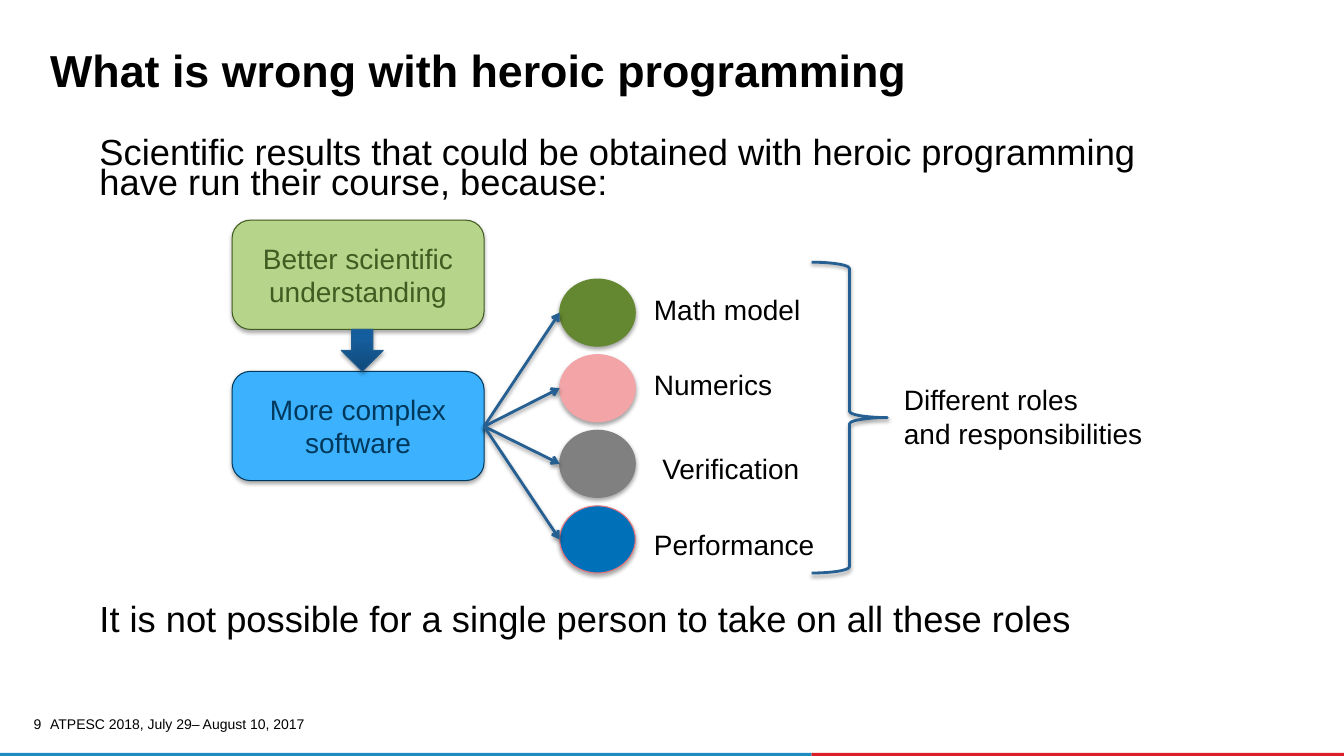
"""Build the slide on what is wrong with heroic programming."""
from lxml import etree
from pptx import Presentation
from pptx.dml.color import RGBColor
from pptx.enum.shapes import MSO_CONNECTOR, MSO_SHAPE
from pptx.enum.text import MSO_ANCHOR, PP_ALIGN
from pptx.oxml import parse_xml
from pptx.oxml.ns import nsdecls, qn
from pptx.util import Pt

BLACK = RGBColor(0x00, 0x00, 0x00)
FOOTER_RED = RGBColor(0xDA, 0x1F, 0x28)
FOOTER_BLUE = RGBColor(0x1B, 0x8D, 0xC3)
LIGHT_GREEN = RGBColor(0xB6, 0xD5, 0x8B)
DARK_GREEN = RGBColor(0x42, 0x5B, 0x20)
SKY_BLUE = RGBColor(0x3C, 0xB2, 0xFF)
NAVY = RGBColor(0x00, 0x38, 0x5C)
LINE_BLUE = RGBColor(0x26, 0x60, 0x92)
ARROW_EDGE = RGBColor(0x23, 0x5E, 0x91)
ARROW_DARK = RGBColor(0x10, 0x49, 0x79)
ARROW_LIGHT = RGBColor(0x15, 0x5E, 0x9D)
GREEN = RGBColor(0x63, 0x88, 0x31)
PINK = RGBColor(0xF2, 0xA4, 0xA7)
GRAY = RGBColor(0x80, 0x80, 0x80)
BLUE = RGBColor(0x00, 0x70, 0xB9)
CORAL = RGBColor(0xEC, 0x76, 0x7C)


def style_shape(shape, line_color, line_width, opacity=35):
    """Set the outline and a soft shadow below the shape."""
    shape.line.color.rgb = line_color
    shape.line.width = Pt(line_width)
    shape._element.spPr.append(parse_xml(
        f'<a:effectLst {nsdecls("a")}>'
        f'<a:outerShdw blurRad="{Pt(3.1)}" dist="{Pt(1.8)}" dir="5400000" rotWithShape="0">'
        f'<a:srgbClr val="000000"><a:alpha val="{opacity * 1000}"/></a:srgbClr>'
        '</a:outerShdw></a:effectLst>'))


def write(shape, lines, size, color=BLACK, bold=False, align=PP_ALIGN.LEFT,
          anchor=MSO_ANCHOR.TOP, spacing=1.0):
    """Write one paragraph per line of text and return the frame."""
    frame = shape.text_frame
    frame.word_wrap = True
    frame.vertical_anchor = anchor
    for index, line in enumerate(lines):
        paragraph = frame.add_paragraph() if index else frame.paragraphs[0]
        paragraph.alignment = align
        paragraph.line_spacing = spacing
        run = paragraph.add_run()
        run.text = line
        run.font.name = "Arial"
        run.font.size = Pt(size)
        run.font.bold = bold
        run.font.color.rgb = color
    return frame


presentation = Presentation()
presentation.slide_width = Pt(960)
presentation.slide_height = Pt(540)
slide = presentation.slides.add_slide(presentation.slide_layouts[6])
shapes = slide.shapes

for left, width, color in ((579.6, 380.4, FOOTER_RED), (0, 579.6, FOOTER_BLUE)):
    bar = shapes.add_shape(MSO_SHAPE.RECTANGLE, Pt(left), Pt(537.8), Pt(width), Pt(2.2))
    bar.shadow.inherit = False
    bar.fill.solid()
    bar.fill.fore_color.rgb = color
    bar.line.fill.background()

footer = shapes.add_textbox(Pt(28.8), Pt(509.8), Pt(261.4), Pt(14.4))
write(footer, ["ATPESC 2018, July 29– August 10, 2017"], 10, anchor=MSO_ANCHOR.MIDDLE)

page_number = shapes.add_textbox(Pt(13), Pt(512.6), Pt(16.6), Pt(12.2))
number_frame = write(page_number, ["9"], 10, align=PP_ALIGN.RIGHT, spacing=0.9)
number_frame.margin_left = number_frame.margin_right = 0
number_frame.margin_top = number_frame.margin_bottom = 0

title = shapes.add_textbox(Pt(28.8), Pt(32.4), Pt(895.7), Pt(40.3))
write(title, ["What is wrong with heroic programming"], 32, bold=True,
      anchor=MSO_ANCHOR.BOTTOM, spacing=0.85)

body = shapes.add_textbox(Pt(64), Pt(97.2), Pt(803.5), Pt(374.4))
body_frame = write(body, [
    "Scientific results that could be obtained with heroic programming "
    "have run their course, because:",
    "It is not possible for a single person to take on all these roles",
], 25.9, spacing=0.7)
body_frame.paragraphs[1].space_before = Pt(290)

for text, top, fill, ink in (
    ("Better scientific understanding", 157.3, LIGHT_GREEN, DARK_GREEN),
    ("More complex software", 265.3, SKY_BLUE, NAVY),
):
    box = shapes.add_shape(MSO_SHAPE.ROUNDED_RECTANGLE, Pt(165.8), Pt(top), Pt(180), Pt(78))
    box.fill.solid()
    box.fill.fore_color.rgb = fill
    style_shape(box, ink, 0.75)
    write(box, [text], 20, ink, align=PP_ALIGN.CENTER, anchor=MSO_ANCHOR.MIDDLE)

down_arrow = shapes.add_shape(MSO_SHAPE.DOWN_ARROW, Pt(243.8), Pt(235.3), Pt(30), Pt(30))
down_arrow.fill.gradient()
down_arrow.fill.gradient_angle = 90
for stop, color, position in zip(
        down_arrow.fill.gradient_stops, (ARROW_DARK, ARROW_LIGHT), (0, 0.8)):
    stop.color.rgb = color
    stop.position = position
style_shape(down_arrow, ARROW_EDGE, 0.75)

brace = shapes.add_shape(MSO_SHAPE.RIGHT_BRACE, Pt(579.8), Pt(187.3), Pt(54), Pt(222))
brace.fill.background()
style_shape(brace, LINE_BLUE, 2, 38)

conclusion = shapes.add_textbox(Pt(638.6), Pt(270), Pt(228.2), Pt(55.4))
write(conclusion, ["Different roles", "and responsibilities"], 20)

roles = (
    ("Math model", GREEN, GREEN, 460, 205.2),
    ("Numerics", PINK, PINK, 460, 259.2),
    ("Verification", GRAY, GRAY, 466, 319.2),
    ("Performance", BLUE, CORAL, 460, 373.2),
)
for index, (name, fill, edge, label_left, label_top) in enumerate(roles):
    top = 199.3 + 54 * index
    circle = shapes.add_shape(MSO_SHAPE.OVAL, Pt(399.8), Pt(top), Pt(54), Pt(48))
    circle.fill.solid()
    circle.fill.fore_color.rgb = fill
    style_shape(circle, edge, 0.75)

    connector = shapes.add_connector(
        MSO_CONNECTOR.STRAIGHT, Pt(345.8), Pt(304.6), Pt(399.8), Pt(top + 24))
    style_shape(connector, LINE_BLUE, 2, 38)
    etree.SubElement(connector.line._get_or_add_ln(), qn("a:tailEnd"), type="arrow")

    label = shapes.add_textbox(Pt(label_left), Pt(label_top), Pt(144), Pt(31.7))
    write(label, [name], 20)

presentation.save("out.pptx")
